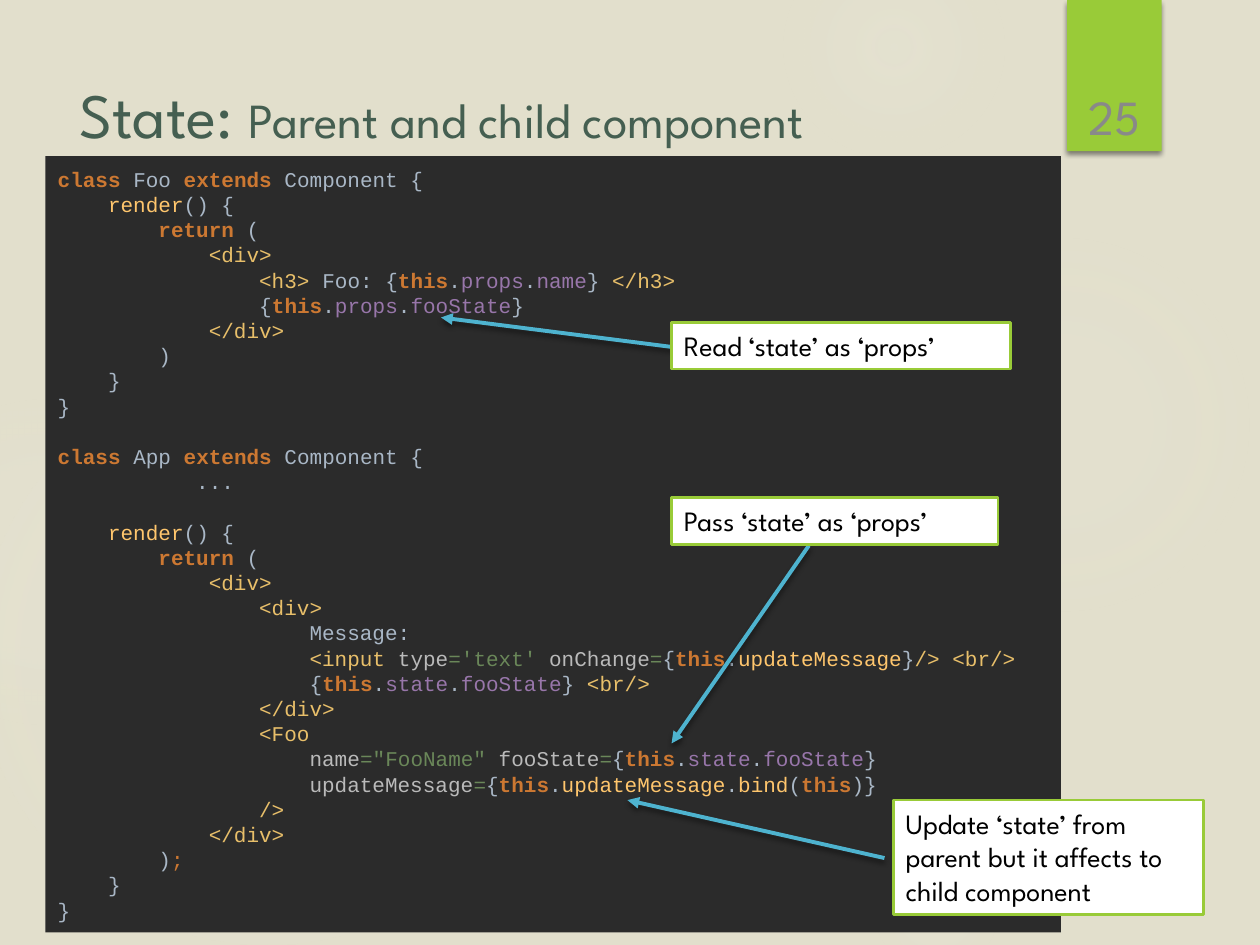
"""Build the slide on sharing React state between a parent and a child component."""
from pptx import Presentation
from pptx import util as u
from pptx.dml.color import RGBColor
from pptx.enum import shapes, text
from pptx.oxml import parse_xml
from pptx.oxml.ns import nsdecls, qn

COLORS = {"background": "E2DFCC", "glow": "F3F2EB", "accent": "99CB38", "title": "455F51",
          "number": "898989", "editor": "2B2B2B", "arrow": "4EB3CF", "white": "FFFFFF", "black": "000000"}
SYNTAX = {"k": "CC7832", "s": "CC7832", "p": "A9B7C6", "f": "FFC66D", "t": "E8BF6A",
          "v": "9876AA", "a": "BABABA", "q": "6A8759"}
FONT, CODE_FONT = "League Spartan", "Courier New"
TITLE = [("State: ", 36), ("Parent and child component", 28)]
PAGE = "25"
CODE = [
    "k:class |p:Foo |k:extends |p:Component {",
    "f:    render|p:() {",
    "k:        return |p:(",
    "t:            <div>",
    "t:                <h3> |p:Foo: {|k:this|p:.|v:props|p:.|v:name|p:} |t:</h3>",
    "p:                {|k:this|p:.|v:props|p:.|v:fooState|p:}",
    "t:            </div>",
    "p:        )",
    "p:    }",
    "p:}",
    "",
    "k:class |p:App |k:extends |p:Component {",
    "p:           ...",
    "",
    "f:    render|p:() {",
    "k:        return |p:(",
    "t:            <div>",
    "t:                <div>",
    "p:                    Message:",
    "t:                    <input |a:type|q:='text' |a:onChange|q:=|p:{|k:this|p:.|f:updateMessage|p:}|t:/> <br/>",
    "p:                    {|k:this|p:.|v:state|p:.|v:fooState|p:} |t:<br/>",
    "t:                </div>",
    "t:                <Foo",
    "a:                    name|q:=\"FooName\" |a:fooState|q:=|p:{|k:this|p:.|v:state|p:.|v:fooState|p:}",
    "a:                    updateMessage|q:=|p:{|k:this|p:.|f:updateMessage|p:.|f:bind|p:(|k:this|p:)}",
    "t:                />",
    "t:            </div>",
    "p:        )|s:;",
    "p:    }",
    "p:}",
]
LINE_PITCH = 14.4
NOTES = [
    ("Update ‘state’ from parent but it affects to child component", (7.09, 6.35, 2.46, 0.91)),
    ("Pass ‘state’ as ‘props’", (5.33, 3.95, 2.59, 0.37)),
    ("Read ‘state’ as ‘props’", (5.33, 2.56, 2.69, 0.37)),
]
ARROWS = [(7.02, 6.81, 4.98, 6.35), (5.85, 2.82, 3.5, 2.52), (6.42, 4.33, 5.33, 5.9)]
GLOWS = [
    (6.89, 1.83, 3.08, [(0, 7), (36, 6), (69, 0)]),
    (6.22, -0.5, 1.75, [(0, 14), (36, 7), (73, 0)]),
    (6.89, 6.67, 1.08, [(0, 14), (36, 7), (66, 0)]),
    (-0.17, 2.92, 4.58, [(0, 11), (36, 10), (75, 0)]),
    (-0.92, 3.17, 2.58, [(0, 8), (36, 8), (72, 0)]),
]


def color(value):
    return RGBColor.from_string(value)


def style(run, size, value, font=FONT, bold=False):
    run.font.size, run.font.name, run.font.bold = u.Pt(size), font, bold
    run.font.color.rgb = color(value)


def add_box(slide, area, fill, line=None, kind=shapes.MSO_SHAPE.RECTANGLE):
    box = slide.shapes.add_shape(kind, *map(u.Inches, area))
    box.shadow.inherit = False
    box.fill.solid()
    box.fill.fore_color.rgb = color(COLORS[fill])
    if line:
        box.line.color.rgb = color(COLORS[line])
        box.line.width = u.Pt(1.5)
    else:
        box.line.fill.background()
    box.text_frame.word_wrap = True
    box.text_frame.vertical_anchor = text.MSO_ANCHOR.TOP
    box.text_frame.paragraphs[0].alignment = text.PP_ALIGN.LEFT
    return box


def add_shadow(shape):
    properties = shape.element.spPr
    for effects in properties.findall(qn("a:effectLst")):
        properties.remove(effects)
    properties.append(parse_xml(
        f'<a:effectLst {nsdecls("a")}><a:outerShdw blurRad="38100" dist="25400" dir="5400000" rotWithShape="0">'
        '<a:srgbClr val="000000"><a:alpha val="45000"/></a:srgbClr></a:outerShdw></a:effectLst>'))


def add_glow(slide, left, top, size, stops):
    glow = add_box(slide, (left, top, size, size), "glow", kind=shapes.MSO_SHAPE.OVAL)
    marks = "".join(f'<a:gs pos="{place * 1000}"><a:srgbClr val="{COLORS["glow"]}">'
                    f'<a:alpha val="{alpha * 1000}"/></a:srgbClr></a:gs>' for place, alpha in stops)
    properties = glow.element.spPr
    properties.replace(properties.find(qn("a:solidFill")), parse_xml(
        f'<a:gradFill {nsdecls("a")}><a:gsLst>{marks}</a:gsLst><a:path path="circle">'
        '<a:fillToRect l="50000" t="50000" r="50000" b="50000"/></a:path></a:gradFill>'))


def add_ribbon(slide):
    ribbon = add_box(slide, (8.47, 0, 0.75, 1.2), "accent")
    add_shadow(ribbon)
    frame = ribbon.text_frame
    frame.vertical_anchor = text.MSO_ANCHOR.BOTTOM
    frame.margin_left = frame.margin_right = 0
    frame.text = PAGE
    frame.paragraphs[0].alignment = text.PP_ALIGN.CENTER
    style(frame.paragraphs[0].runs[0], 28, COLORS["number"])


def add_title(slide):
    title = slide.shapes.title
    title.left, title.top, title.width, title.height = map(u.Inches, (0.53, 0.5, 7.72, 0.75))
    title.text_frame.vertical_anchor = text.MSO_ANCHOR.BOTTOM
    paragraph = title.text_frame.paragraphs[0]
    paragraph.alignment = text.PP_ALIGN.LEFT
    for words, size in TITLE:
        run = paragraph.add_run()
        run.text = words
        style(run, size, COLORS["title"])


def add_code(slide):
    frame = add_box(slide, (0.36, 1.24, 8.06, 6.16), "editor").text_frame
    frame.vertical_anchor = text.MSO_ANCHOR.MIDDLE
    for row, line in enumerate(CODE):
        if not line:
            continue
        paragraph = frame.add_paragraph() if row else frame.paragraphs[0]
        paragraph.alignment = text.PP_ALIGN.LEFT
        paragraph.line_spacing = u.Pt(LINE_PITCH)
        if row and not CODE[row - 1]:
            paragraph.space_before = u.Pt(LINE_PITCH)
        for token in line.split("|"):
            kind, words = token.split(":", 1)
            run = paragraph.add_run()
            run.text = words
            style(run, 12, SYNTAX[kind], CODE_FONT, kind == "k")


def add_arrow(slide, ends):
    arrow = slide.shapes.add_connector(shapes.MSO_CONNECTOR.STRAIGHT, *map(u.Inches, ends))
    arrow.line.color.rgb = color(COLORS["arrow"])
    arrow.line.width = u.Pt(2.25)
    arrow.line._get_or_add_ln().append(parse_xml(f'<a:tailEnd {nsdecls("a")} type="triangle"/>'))
    add_shadow(arrow)


def add_note(slide, words, area):
    frame = add_box(slide, area, "white", "accent").text_frame
    frame.text = words
    style(frame.paragraphs[0].runs[0], 16, COLORS["black"])


def main():
    deck = Presentation()
    deck.slide_width, deck.slide_height = u.Inches(10), u.Inches(7.5)
    slide = deck.slides.add_slide(deck.slide_layouts[5])
    slide.background.fill.solid()
    slide.background.fill.fore_color.rgb = color(COLORS["background"])
    for glow in GLOWS:
        add_glow(slide, *glow)
    add_ribbon(slide)
    add_title(slide)
    add_code(slide)
    for ends in ARROWS:
        add_arrow(slide, ends)
    for words, area in NOTES:
        add_note(slide, words, area)
    deck.save("out.pptx")


if __name__ == "__main__":
    main()
